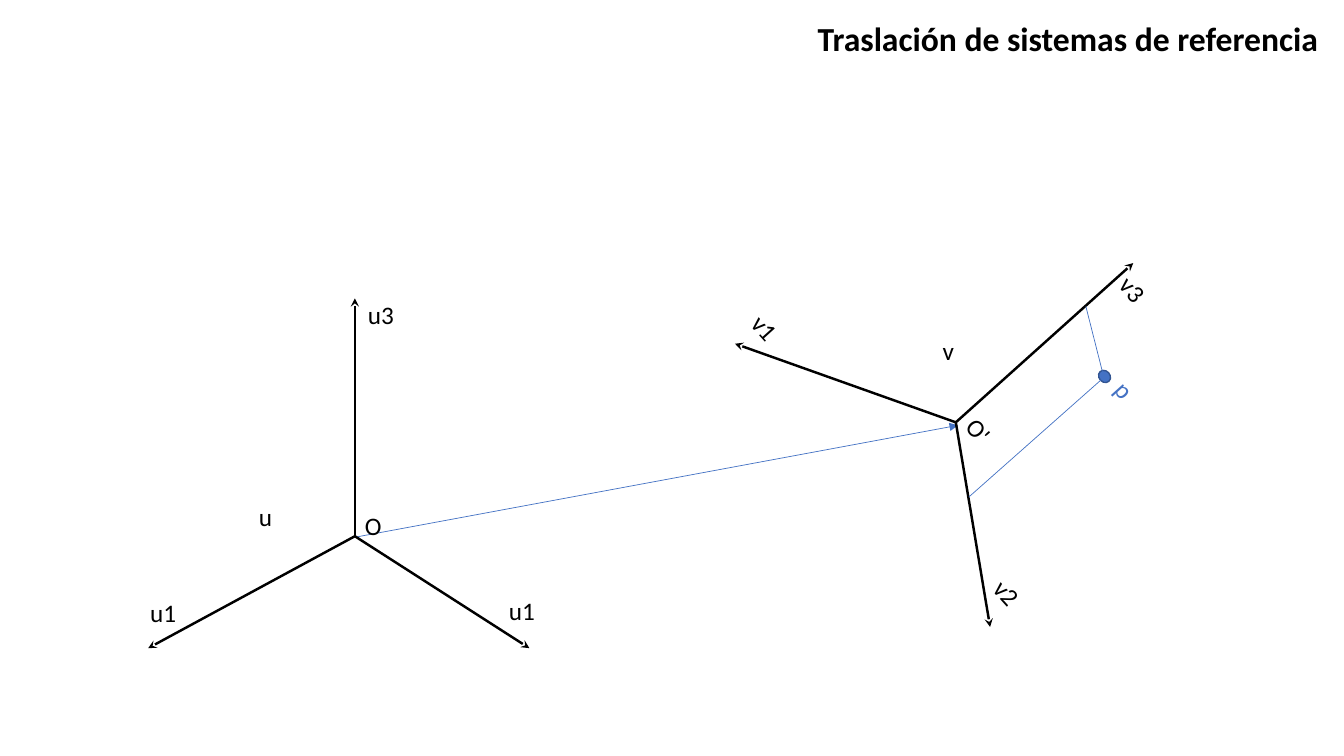
from dataclasses import dataclass

from lxml.etree import SubElement
from pptx import Presentation
from pptx.dml.color import RGBColor
from pptx.enum.shapes import MSO_CONNECTOR, MSO_SHAPE
from pptx.enum.text import MSO_ANCHOR, MSO_AUTO_SIZE, PP_ALIGN
from pptx.oxml.ns import qn
from pptx.util import Emu, Pt


@dataclass(frozen=True)
class Theme:
    """Colours, font, type sizes and line widths of the slide."""

    black: RGBColor = RGBColor(0x00, 0x00, 0x00)
    blue: RGBColor = RGBColor(0x44, 0x72, 0xC4)
    dark_blue: RGBColor = RGBColor(0x32, 0x54, 0x91)
    font: str = "Calibri"
    title_size: float = 24
    label_size: float = 18
    axis_width: float = 1.75
    guide_width: float = 0.5
    outline_width: float = 1


THEME = Theme()
PX_PER_INCH = 100
FRAME_ROTATION = 48
LABEL_HEIGHT = 40

ORIGIN_U = (352, 532)
ORIGIN_V = (948, 419)
AXES = [
    (ORIGIN_U, [(352, 296), (147, 643), (525, 643)]),
    (ORIGIN_V, [(1124, 261), (729, 341), (982, 622)]),
]
POINT_GUIDES = [((1092, 377), (961, 493)), ((1077, 304), (1096, 379))]
U_LABELS = [
    ("O", 352, 501, 37),
    ("u3", 355, 292, 46),
    ("u1", 139, 588, 46),
    ("u1", 495, 586, 46),
    ("u", 247, 492, 34),
    ("v", 925, 328, 32),
]
V_LABELS = [
    ("O'", 950, 407, 42),
    ("v3", 1102, 267, 44),
    ("v1", 737, 305, 44),
    ("v2", 977, 568, 44),
]


def px(length):
    """Turn a length in px into EMU."""
    return Emu(length * 914400 // PX_PER_INCH)


def write_text(shape, text, size=THEME.label_size, color=THEME.black, bold=False):
    """Write one formatted line of text in a shape that fits it."""
    frame = shape.text_frame
    frame.text = text
    frame.word_wrap = False
    frame.auto_size = MSO_AUTO_SIZE.SHAPE_TO_FIT_TEXT
    frame.vertical_anchor = MSO_ANCHOR.TOP
    paragraph = frame.paragraphs[0]
    paragraph.alignment = PP_ALIGN.LEFT
    font = paragraph.runs[0].font
    font.name = THEME.font
    font.size = Pt(size)
    font.bold = bold
    font.color.rgb = color


def add_title(slide, text):
    """Place the title at the top right."""
    title = slide.shapes.title
    title.left, title.top, title.width, title.height = map(px, (801, 13, 522, 50))
    write_text(title, text, size=THEME.title_size, bold=True)


def add_label(slide, text, left, top, width, rotation=0, color=THEME.black):
    """Add a label, turned if needed about its centre."""
    label = slide.shapes.add_textbox(*map(px, (left, top, width, LABEL_HEIGHT)))
    label.rotation = rotation
    write_text(label, text, color=color)


def add_line(slide, start, end, color, width, arrowhead=None):
    """Draw a straight line with an optional arrowhead at its end."""
    line = slide.shapes.add_connector(MSO_CONNECTOR.STRAIGHT, *map(px, start + end))
    line.line.color.rgb = color
    line.line.width = Pt(width)
    if arrowhead:
        SubElement(line.line._get_or_add_ln(), qn("a:tailEnd"), type=arrowhead)
    SubElement(line._element.spPr, qn("a:effectLst"))


def add_point(slide):
    """Draw the dot that marks point p."""
    point = slide.shapes.add_shape(MSO_SHAPE.OVAL, *map(px, (1089, 368, 13, 11)))
    point.rotation = FRAME_ROTATION
    point.shadow.inherit = False
    point.fill.solid()
    point.fill.fore_color.rgb = THEME.blue
    point.line.color.rgb = THEME.dark_blue
    point.line.width = Pt(THEME.outline_width)


def main():
    """Build the slide and save it."""
    presentation = Presentation()
    presentation.slide_width = px(1333)
    presentation.slide_height = px(750)
    slide = presentation.slides.add_slide(presentation.slide_layouts[5])

    add_title(slide, "Traslación de sistemas de referencia")
    add_line(slide, (352, 533), (950, 422), THEME.blue, THEME.guide_width, "triangle")
    for origin, tips in AXES:
        for tip in tips:
            add_line(slide, origin, tip, THEME.black, THEME.axis_width, "stealth")
    add_point(slide)
    for start, end in POINT_GUIDES:
        add_line(slide, start, end, THEME.blue, THEME.guide_width)
    for label in U_LABELS:
        add_label(slide, *label)
    for label in V_LABELS:
        add_label(slide, *label, rotation=FRAME_ROTATION)
    add_label(slide, "p", 1099, 367, 34, rotation=FRAME_ROTATION, color=THEME.blue)

    presentation.save("out.pptx")


if __name__ == "__main__":
    main()
